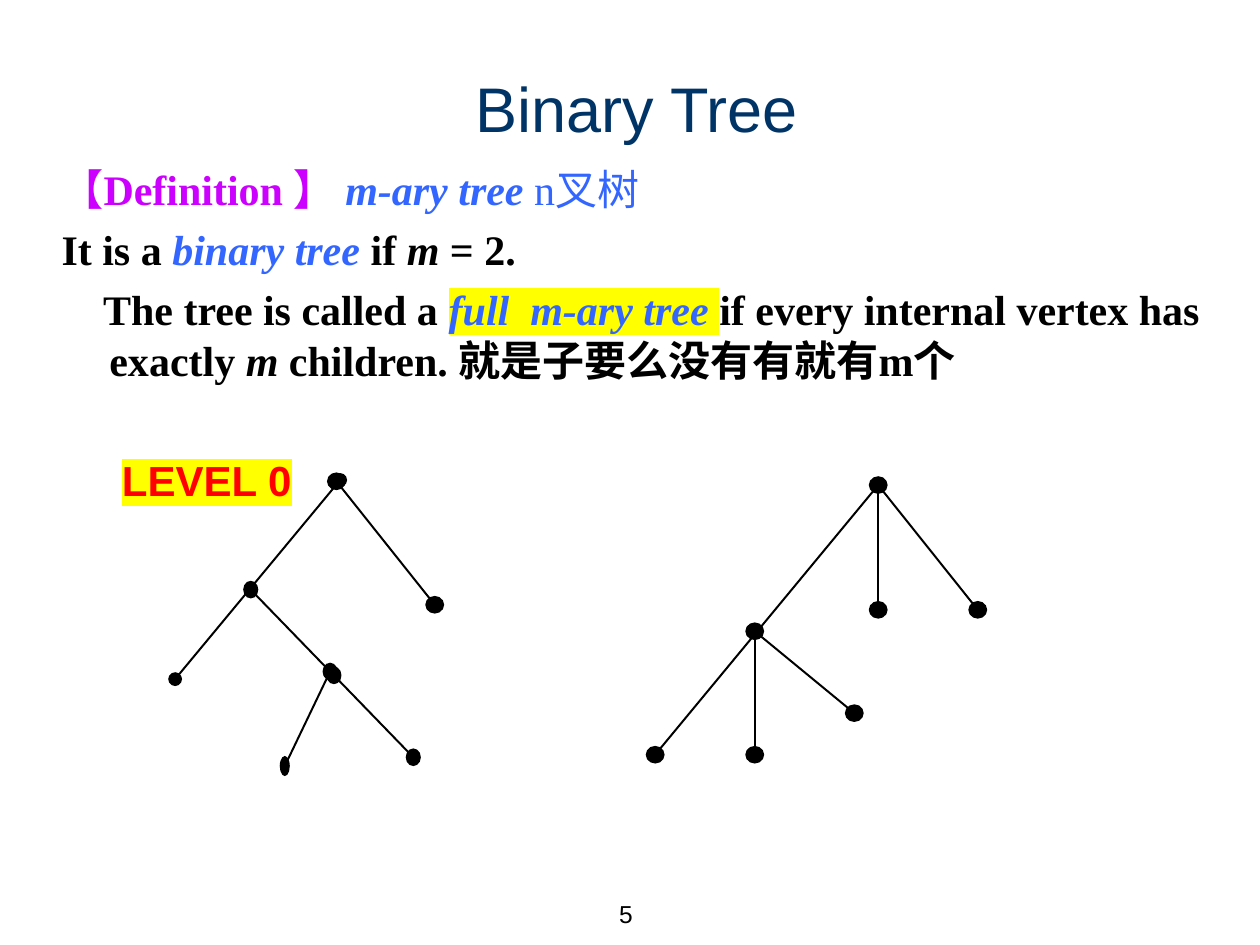
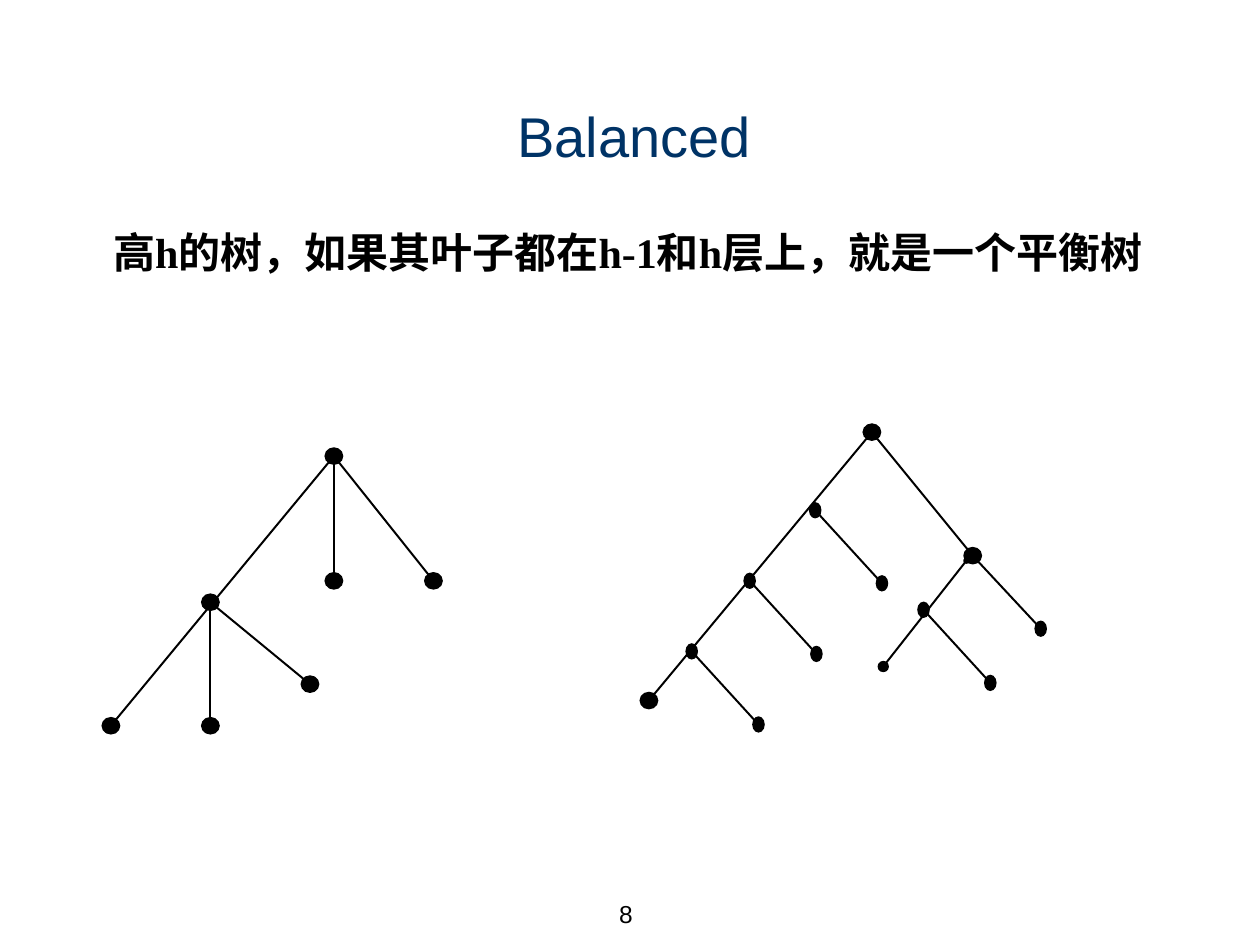
from pptx import Presentation
from pptx import util as u
from pptx.dml.color import RGBColor
from pptx.enum import shapes, text
from pptx.oxml import ns
from lxml import etree

NAVY = RGBColor(0x00, 0x33, 0x66)
BLACK = RGBColor(0x00, 0x00, 0x00)
BLUE = RGBColor(0x33, 0x66, 0xFF)
MAGENTA = RGBColor(0xCC, 0x00, 0xFF)
RED = RGBColor(0xFF, 0x00, 0x00)
YELLOW = RGBColor(0xFF, 0xFF, 0x00)
SANS, SERIF = "Arial", "Times New Roman"

# Span styles: size, font, colour, bold, italic, highlight
BODY = (24, SERIF, BLACK, True, False, None)
VARIABLE = (24, SERIF, BLACK, True, True, None)
TERM = (24, SERIF, BLUE, True, True, None)
GLOSS = (24, SERIF, BLUE, False, False, None)
HEADING = (24, SERIF, MAGENTA, True, False, None)
MARKED = (24, SERIF, BLUE, True, True, YELLOW)
LEVEL = (24, SANS, RED, True, False, YELLOW)
NUMBER = (14, SANS, BLACK, False, False, None)

# Dot sizes (width, height)
ROUND, SMALL, OVAL, SLIM = (0.15, 0.14), (0.11, 0.11), (0.12, 0.14), (0.1, 0.13)


def ternary_tree(x, y):
    """Full 3-ary tree with its root at x, y."""
    offsets = {"root": (0, 0), "left": (-0.98, 1.16), "middle": (0, 0.99),
               "right": (0.79, 0.99), "leaf 1": (-1.77, 2.14),
               "leaf 2": (-0.98, 2.14), "leaf 3": (-0.19, 1.81)}
    dots = {name: (x + dx, y + dy, ROUND) for name, (dx, dy) in offsets.items()}
    edges = [("root", "leaf 1"), ("root", "middle"), ("root", "right"),
             ("left", "leaf 2"), ("left", "leaf 3")]
    return dots, edges


def balanced_tree():
    """Binary tree whose right-hand twigs all have the same slope and length."""
    dots = {"root": (6.92, 3.43, ROUND), "right": (7.72, 4.41, ROUND),
            "far left": (5.15, 5.56, ROUND), "joint": (7.67, 4.45, (0.05, 0.05)),
            "inner leaf": (7.01, 5.29, (0.09, 0.09))}
    edges = [("root", "far left"), ("root", "right"), ("joint", "inner leaf")]
    forks = [(6.47, 4.05), (5.95, 4.61), (5.49, 5.17), (7.33, 4.84)]
    for i, (x, y) in enumerate(forks):
        dots[f"fork {i}"] = (x, y, SLIM)
        dots[f"twig {i}"] = (x + 0.53, y + 0.58, SLIM)
        edges.append((f"fork {i}", f"twig {i}"))
    dots["right twig"] = (8.26, 4.99, SLIM)
    edges.append(("right", "right twig"))
    return dots, edges


BINARY_TREE = (
    {"crown": (2.7, 3.81, SMALL), "root": (2.67, 3.82, ROUND),
     "right": (3.45, 4.8, ROUND), "left": (1.99, 4.68, OVAL),
     "left leaf": (1.39, 5.39, SMALL), "fork": (2.62, 5.33, OVAL),
     "fork end": (2.65, 5.36, OVAL), "right leaf": (3.28, 6.01, OVAL),
     "low leaf": (2.26, 6.08, (0.08, 0.16))},
    [("crown", "left leaf"), ("root", "right"), ("left", "fork"),
     ("fork end", "right leaf"), ("fork", "low leaf")],
)

# Body paragraphs: (first-line indent, spans)
PAGES = [
    {"number": "5", "title": "Binary Tree", "title size": 36,
     "title at": (0.55, 0.47, 9, 0.77), "anchor": text.MSO_ANCHOR.MIDDLE,
     "body at": (0.39, 1.25, 9.26, 2.28),
     "body": [
         (-0.38, [("【Definition 】 ", HEADING), ("m-ary tree", TERM),
                  (" n叉树", GLOSS)]),
         (-0.38, [("It is a ", BODY), ("binary tree ", TERM), ("if ", BODY),
                  ("m", VARIABLE), (" = 2.", BODY)]),
         (-0.05, [("The tree is called a ", BODY), ("full ", MARKED),
                  (" m-ary tree ", MARKED),
                  ("if every internal vertex has exactly ", BODY),
                  ("m", VARIABLE),
                  (" children. 就是子要么没有有就有m个", BODY)])],
     "label": "LEVEL 0",
     "trees": [ternary_tree(6.97, 3.85), BINARY_TREE]},
    {"number": "8", "title": "Balanced", "title size": 32,
     "title at": (0.42, 0.72, 9.23, 0.67), "anchor": text.MSO_ANCHOR.BOTTOM,
     "body at": (0.5, 1.75, 9, 1.13),
     "body": [(-0.08, [("高h的树，如果其叶子都在h-1和h层上，就是一个平衡树", BODY)])],
     "trees": [ternary_tree(2.65, 3.62), balanced_tree()]},
]


def inches(*lengths):
    return [u.Inches(length) for length in lengths]


def add_span(para, words, style):
    size, name, colour, bold, italic, highlight = style
    span = para.add_run()
    span.text = words
    font = span.font
    font.size, font.bold, font.italic = u.Pt(size), bold, italic
    font.color.rgb = colour
    if highlight is not None:
        mark = etree.SubElement(font.fill._xPr, ns.qn("a:highlight"))
        etree.SubElement(mark, ns.qn("a:srgbClr"), val=str(highlight))
    font.name = name


def add_text(page, at, paras, align=text.PP_ALIGN.LEFT,
             anchor=text.MSO_ANCHOR.TOP, wrap=True):
    frame = page.shapes.add_textbox(*inches(*at)).text_frame
    frame.word_wrap, frame.vertical_anchor = wrap, anchor
    for i, (indent, spans) in enumerate(paras):
        para = frame.paragraphs[0] if i == 0 else frame.add_paragraph()
        para.alignment = align
        if indent:
            props = para._p.get_or_add_pPr()
            props.set("marL", str(u.Inches(0.38)))
            props.set("indent", str(u.Inches(indent)))
        if i:
            para.space_before = u.Pt(5.5)
        for words, style in spans:
            add_span(para, words, style)


def add_tree(page, dots, edges):
    tree = page.shapes.add_group_shape().shapes
    for start, end in edges:
        edge = tree.add_connector(shapes.MSO_CONNECTOR.STRAIGHT,
                                  *inches(*dots[start][:2], *dots[end][:2]))
        edge.line.color.rgb = BLACK
        edge.line.width = u.Pt(1.13)
        etree.SubElement(edge._element.spPr, ns.qn("a:effectLst"))
    for x, y, (width, height) in dots.values():
        dot = tree.add_shape(shapes.MSO_SHAPE.OVAL, *inches(
            x - width / 2, y - height / 2, width, height))
        dot.shadow.inherit = False
        dot.fill.solid()
        dot.fill.fore_color.rgb = BLACK
        dot.line.fill.background()


def build_page(deck, content):
    page = deck.slides.add_slide(deck.slide_layouts[6])
    # Page number and title
    add_text(page, (4.45, 7, 0.67, 0.5), [(0, [(content["number"], NUMBER)])],
             text.PP_ALIGN.RIGHT, text.MSO_ANCHOR.MIDDLE)
    title = (content["title size"], SANS, NAVY, False, False, None)
    add_text(page, content["title at"], [(0, [(content["title"], title)])],
             text.PP_ALIGN.CENTER, content["anchor"])
    # Definition and trees
    add_text(page, content["body at"], content["body"])
    for dots, edges in content["trees"]:
        add_tree(page, dots, edges)
    if "label" in content:
        add_text(page, (0.87, 3.56, 1.56, 0.51),
                 [(0, [(content["label"], LEVEL)])], wrap=False)


def main():
    deck = Presentation()
    deck.slide_width, deck.slide_height = inches(10, 7.5)
    for content in PAGES:
        build_page(deck, content)
    deck.save("out.pptx")


if __name__ == "__main__":
    main()
